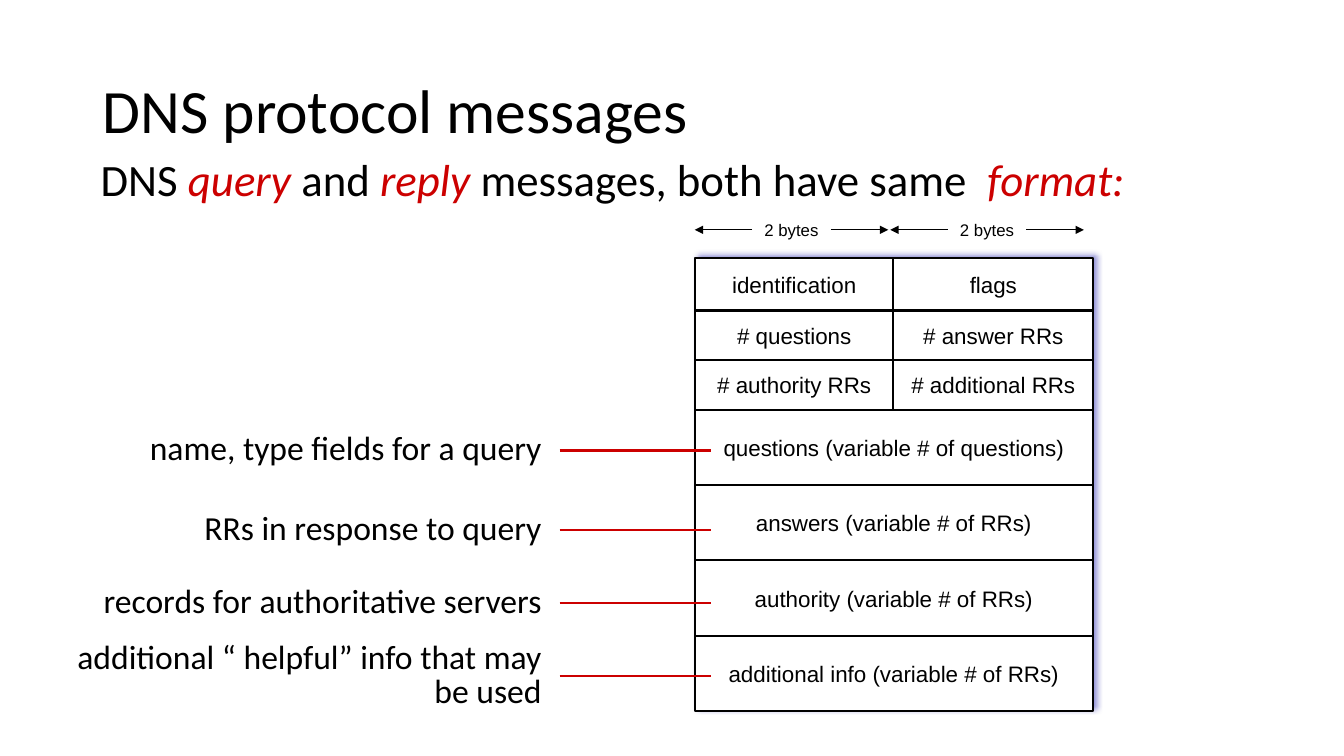
from itertools import pairwise

from pptx import Presentation
from pptx.dml.color import RGBColor
from pptx.enum.shapes import MSO_CONNECTOR, MSO_SHAPE
from pptx.enum.text import MSO_ANCHOR, MSO_AUTO_SIZE, PP_ALIGN
from pptx.oxml import parse_xml
from pptx.oxml.ns import nsdecls
from pptx.util import Inches, Pt

BLACK, WHITE, RED, NAVY = "000000", "FFFFFF", "CC0000", "0000A3"

# Message frame: outer edges, centre divider and row boundaries
LEFT, MIDDLE, RIGHT = 6.89, 8.86, 10.84
ROW_EDGES = [2.56, 3.08, 3.57, 4.07, 4.81, 5.56, 6.31, 7.05]
ROWS = [
    ["identification", "flags"],
    ["# questions", "# answer RRs"],
    ["# authority RRs", "# additional RRs"],
    ["questions (variable # of questions)"],
    ["answers (variable # of RRs)"],
    ["authority (variable # of RRs)"],
    ["additional info (variable # of RRs)"],
]
HEADER_ROWS = 3

# Callout text, centre height, box height
CALLOUTS = [
    ("name, type fields for a query", 4.47, 0.45),
    ("RRs in response to query", 5.26, 0.45),
    ("records for authoritative servers", 5.98, 0.45),
    ("additional “ helpful” info that may be used", 6.71, 0.79),
]


def color(value):
    return RGBColor.from_string(value)


def write(frame, *parts, size, font="Calibri", align=PP_ALIGN.LEFT,
          anchor=MSO_ANCHOR.TOP, spacing=1.0, wrap=True):
    """Fill a frame with one paragraph; a part is text or (text, red italic)."""
    frame.word_wrap = wrap
    frame.auto_size = MSO_AUTO_SIZE.NONE
    frame.vertical_anchor = anchor
    para = frame.paragraphs[0]
    para.alignment = align
    para.line_spacing = spacing
    for part in parts:
        text, stressed = part if isinstance(part, tuple) else (part, False)
        span = para.add_run()
        span.text = text
        span.font.size = Pt(size)
        span.font.name = font
        span.font.italic = stressed
        span.font.color.rgb = color(RED if stressed else BLACK)
    return para


def add_text(page, left, top, width, height, *parts, **style):
    box = page.shapes.add_textbox(
        Inches(left), Inches(top), Inches(width), Inches(height))
    return write(box.text_frame, *parts, **style)


def add_label(page, text, center_x, center_y, size=16):
    """Centre an Arial label on a point."""
    width, height = 3.6, 0.37
    add_text(page, center_x - width / 2, center_y - height / 2, width, height,
             text, size=size, font="Arial", align=PP_ALIGN.CENTER,
             anchor=MSO_ANCHOR.MIDDLE, wrap=False)


def add_line(page, x1, y1, x2, y2, stroke=BLACK, weight=1.5, arrow=False):
    line = page.shapes.add_connector(
        MSO_CONNECTOR.STRAIGHT, Inches(x1), Inches(y1), Inches(x2), Inches(y2))
    line.line.color.rgb = color(stroke)
    line.line.width = Pt(weight)
    if arrow:
        line.line._get_or_add_ln().append(
            parse_xml(f'<a:tailEnd {nsdecls("a")} type="triangle"/>'))
    line._element.spPr.append(parse_xml(f'<a:effectLst {nsdecls("a")}/>'))


def add_frame(page):
    """White rectangle with a soft shadow towards the upper right."""
    frame = page.shapes.add_shape(
        MSO_SHAPE.RECTANGLE, Inches(LEFT), Inches(ROW_EDGES[0]),
        Inches(RIGHT - LEFT), Inches(ROW_EDGES[-1] - ROW_EDGES[0]))
    frame.fill.solid()
    frame.fill.fore_color.rgb = color(WHITE)
    frame.line.color.rgb = color(BLACK)
    frame.line.width = Pt(1.5)
    frame._element.spPr.append(parse_xml(
        f'<a:effectLst {nsdecls("a")}>'
        f'<a:outerShdw blurRad="{Pt(4)}" dist="{Pt(3)}" dir="{315 * 60000}"'
        f' algn="ctr" rotWithShape="0"><a:srgbClr val="{NAVY}">'
        '<a:alpha val="40000"/></a:srgbClr></a:outerShdw></a:effectLst>'))


def add_message(page):
    add_frame(page)
    for edge in ROW_EDGES[1:-1]:
        add_line(page, LEFT, edge, RIGHT, edge)
    add_line(page, MIDDLE, ROW_EDGES[0], MIDDLE, ROW_EDGES[HEADER_ROWS])
    for labels, (top, bottom) in zip(ROWS, pairwise(ROW_EDGES)):
        width = (RIGHT - LEFT) / len(labels)
        for column, label in enumerate(labels):
            add_label(page, label, LEFT + (column + 0.5) * width,
                      (top + bottom) / 2)


def add_byte_span(page, center):
    """Width label between two outward arrows."""
    y = 2.28
    add_label(page, "2 bytes", center, y, size=12)
    for side in (-1, 1):
        add_line(page, center + side * 0.39, y, center + side * 0.96, y,
                 weight=0.75, arrow=True)


def add_callout(page, text, center, height):
    add_text(page, 0.42, center - height / 2, 5.05, height, text, size=24,
             align=PP_ALIGN.RIGHT, anchor=MSO_ANCHOR.MIDDLE, spacing=0.85)
    add_line(page, 5.55, center, 7.05, center, stroke=RED)


def main():
    deck = Presentation()
    deck.slide_width, deck.slide_height = Inches(13.33), Inches(7.5)
    page = deck.slides.add_slide(deck.slide_layouts[5])

    # Title
    title = page.shapes.title
    title.left, title.top = Inches(0.92), Inches(0.4)
    title.width, title.height = Inches(11.5), Inches(1.45)
    write(title.text_frame, "DNS protocol messages", size=44,
          anchor=MSO_ANCHOR.MIDDLE, spacing=0.9)

    # Message format
    add_message(page)
    for center in (7.85, 9.79):
        add_byte_span(page, center)

    # Introduction
    intro = add_text(page, 0.76, 1.52, 11.37, 0.56, "DNS ", ("query ", True),
                     "and ", ("reply", True), " messages, both have same  ",
                     ("format:", True), size=32, spacing=0.9)
    intro.space_before = Pt(10)
    intro._p.get_or_add_pPr().set("marL", str(Inches(0.14)))

    # Callouts
    for text, center, height in CALLOUTS:
        add_callout(page, text, center, height)

    deck.save("out.pptx")


if __name__ == "__main__":
    main()
